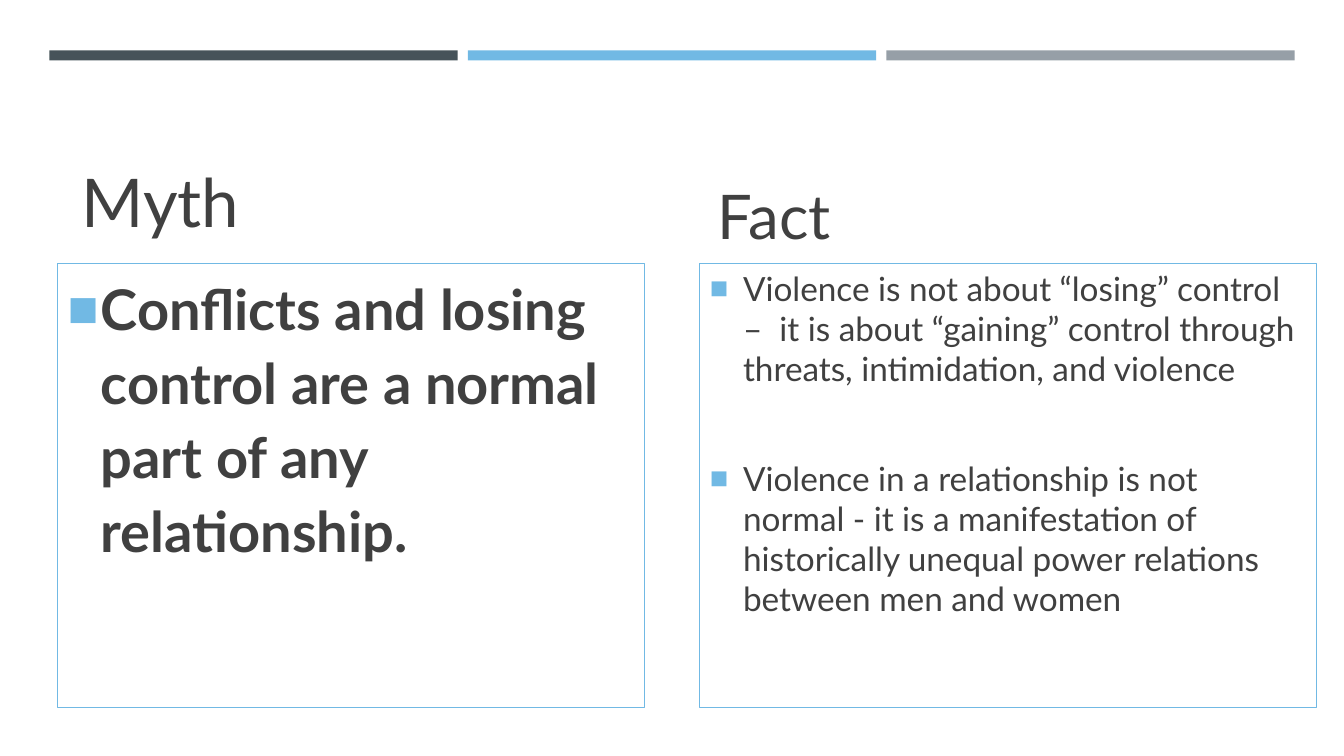
"""Build a Myth and Fact comparison slide with a three-colour band on top."""
import lxml.etree
import pptx
import pptx.dml.color
import pptx.enum.shapes
import pptx.enum.text
import pptx.oxml.ns
import pptx.util

RGBColor = pptx.dml.color.RGBColor
SLATE = RGBColor(0x46, 0x53, 0x59)
SKY = RGBColor(0x71, 0xB9, 0xE4)
GREY = RGBColor(0x96, 0x9F, 0xA7)
INK = RGBColor(0x40, 0x40, 0x40)

SLIDE_WIDTH, SLIDE_HEIGHT = 13.33, 7.5
BAND_COLOURS = [SLATE, SKY, GREY]
BAND_LEFT, BAND_TOP, BAND_WIDTH, BAND_HEIGHT, BAND_GAP = 0.49, 0.5, 4.05, 0.1, 0.1
HEADING_WIDTH, HEADING_HEIGHT = 5.68, 0.61
BODY_TOP, BODY_HEIGHT = 2.61, 4.41
BULLET_INDENT = 0.33
PARAGRAPH_GAP = 44

COLUMNS = [
    {
        "heading": "Myth",
        "heading_at": (0.71, 1.65),
        "heading_size": 48,
        "body": ["Conflicts and losing control are a normal part of any relationship."],
        "body_left": 0.57,
        "body_width": 5.82,
        "body_size": 40,
        "bold": True,
        "line_spacing": 1.1,
    },
    {
        "heading": "Fact",
        "heading_at": (7.02, 1.83),
        "heading_size": 44,
        "body": [
            "Violence is not about “losing” control –  it is about “gaining” control "
            "through threats, intimidation, and violence",
            "Violence in a relationship is not normal - it is a manifestation of "
            "historically unequal power relations between men and women",
        ],
        "body_left": 6.94,
        "body_width": 6.12,
        "body_size": 23.8,
        "bold": False,
        "line_spacing": 1.0,
    },
]


def place(shape, left, top, width, height):
    """Set a shape's box in inches."""
    box = {"left": left, "top": top, "width": width, "height": height}
    for name, value in box.items():
        setattr(shape, name, pptx.util.Inches(value))


def add_bullet(paragraph):
    """Give a paragraph a hanging square bullet."""
    properties = paragraph._p.get_or_add_pPr()
    indent = pptx.util.Inches(BULLET_INDENT)
    properties.set("marL", str(indent))
    properties.set("indent", str(-indent))
    qualified = pptx.oxml.ns.qn
    colour = lxml.etree.SubElement(properties, qualified("a:buClr"))
    lxml.etree.SubElement(colour, qualified("a:srgbClr"), val=str(SKY))
    lxml.etree.SubElement(properties, qualified("a:buSzPct"), val="92000")
    lxml.etree.SubElement(properties, qualified("a:buChar"), char="■")


def write(shape, texts, size, bold, line_spacing, anchor, bulleted):
    """Fill a placeholder with evenly formatted paragraphs."""
    frame = shape.text_frame
    frame.text = "\n".join(texts)
    frame.word_wrap = True
    frame.auto_size = pptx.enum.text.MSO_AUTO_SIZE.NONE
    frame.vertical_anchor = anchor
    font_format = {"name": "Lato", "size": pptx.util.Pt(size), "bold": bold}
    for index, paragraph in enumerate(frame.paragraphs):
        if bulleted:
            add_bullet(paragraph)
        spacing = {
            "line_spacing": line_spacing,
            "space_before": pptx.util.Pt(PARAGRAPH_GAP if index else 0),
            "space_after": pptx.util.Pt(6),
            "alignment": pptx.enum.text.PP_ALIGN.LEFT,
        }
        for name, value in spacing.items():
            setattr(paragraph, name, value)
        for run in paragraph.runs:
            for name, value in font_format.items():
                setattr(run.font, name, value)
            run.font.color.rgb = INK


def add_band(slide):
    """Draw the row of coloured bars."""
    for index, colour in enumerate(BAND_COLOURS):
        left = BAND_LEFT + index * (BAND_WIDTH + BAND_GAP)
        box = [pptx.util.Inches(value) for value in (left, BAND_TOP, BAND_WIDTH, BAND_HEIGHT)]
        bar = slide.shapes.add_shape(pptx.enum.shapes.MSO_SHAPE.RECTANGLE, *box)
        bar.shadow.inherit = False
        bar.fill.solid()
        bar.fill.fore_color.rgb = colour
        bar.line.fill.background()


def add_column(heading, body, column):
    """Place and fill one heading and its framed list."""
    anchors = pptx.enum.text.MSO_ANCHOR
    spacing = column["line_spacing"]
    place(heading, *column["heading_at"], HEADING_WIDTH, HEADING_HEIGHT)
    write(heading, [column["heading"]], column["heading_size"], False, spacing,
          anchors.MIDDLE, False)
    place(body, column["body_left"], BODY_TOP, column["body_width"], BODY_HEIGHT)
    body.line.color.rgb = SKY
    body.line.width = pptx.util.Pt(0.75)
    write(body, column["body"], column["body_size"], column["bold"], spacing,
          anchors.TOP, True)


def main():
    """Assemble and save the presentation."""
    presentation = pptx.Presentation()
    presentation.slide_width = pptx.util.Inches(SLIDE_WIDTH)
    presentation.slide_height = pptx.util.Inches(SLIDE_HEIGHT)
    comparison_layout = presentation.slide_layouts.get_by_name("Comparison")
    slide = presentation.slides.add_slide(comparison_layout)
    title, *bodies = slide.placeholders
    title.element.getparent().remove(title.element)
    add_band(slide)
    for heading, body, column in zip(bodies[::2], bodies[1::2], COLUMNS):
        add_column(heading, body, column)
    presentation.save("out.pptx")


if __name__ == "__main__":
    main()
